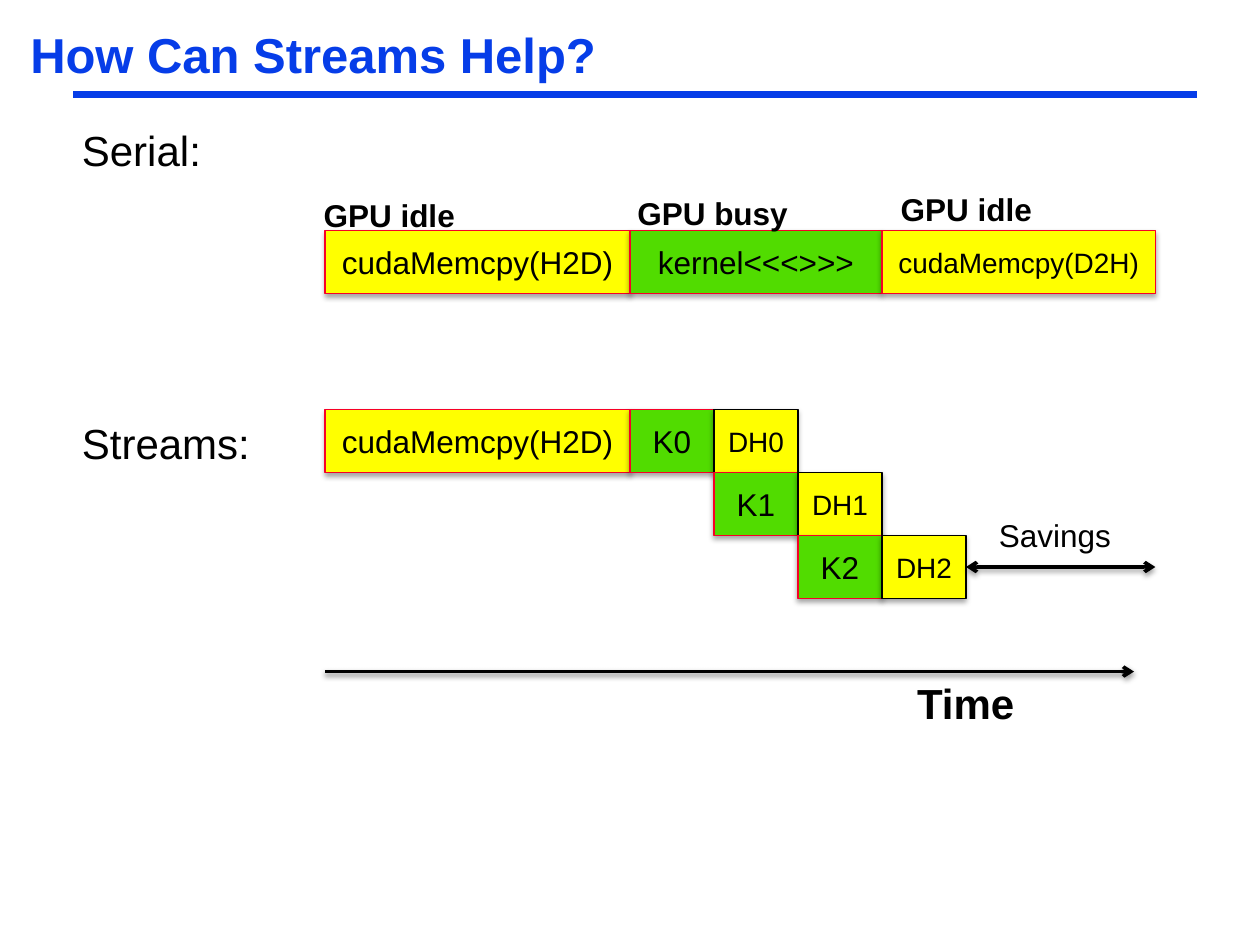
import pptx
import pptx.util
import pptx.dml.color
import pptx.enum.shapes
import pptx.enum.text
from lxml import etree

Inches, Pt = pptx.util.Inches, pptx.util.Pt
ALIGN, ANCHOR = pptx.enum.text.PP_ALIGN, pptx.enum.text.MSO_ANCHOR
STRAIGHT = pptx.enum.shapes.MSO_CONNECTOR.STRAIGHT
A = "{http://schemas.openxmlformats.org/drawingml/2006/main}"

BLUE, RED, BLACK = "063DE8", "F70026", "000000"
YELLOW, GREEN = "FFFF00", "51DC00"

TITLE = "How Can Streams Help?"
ROW_LABELS = [("Serial:", 0), ("Streams:", 141.5)]  # text, space before in points
LEFT, KERNEL_X, END_X = 2.58, 5, 9.17
KERNEL_W, BAR_H = 2, 0.5
SERIAL_Y, STREAMS_Y, TIME_Y = 1.83, 3.25, 5.33
STREAM_COUNT = 3
# text, left, top, width, height, size, bold
LABELS = [
    ("Time", 7.18, 5.33, 0.98, 0.5, 24, True),
    ("Savings", 7.83, 4.05, 1.1, 0.4, 18, False),
    ("GPU idle", 2.47, 1.51, 1.32, 0.4, 18, True),
    ("GPU idle", 7.05, 1.46, 1.32, 0.4, 18, True),
    ("GPU busy", 4.96, 1.49, 1.41, 0.4, 18, True),
]


def rgb(color):
    return pptx.dml.color.RGBColor.from_string(color)


def set_font(p, size, color=BLACK, bold=False):
    f = p.font
    f.name, f.size, f.bold = "Arial", Pt(size), bold
    f.color.rgb = rgb(color)


def set_insets(tf):
    tf.margin_left = tf.margin_right = Inches(0.07)
    tf.margin_top = tf.margin_bottom = Inches(0.03)


def add_shadow(effects, alpha, distance):
    """Add a soft black shadow falling straight down; distance is in points."""
    shadow = etree.SubElement(effects, A + "outerShdw", blurRad=str(Pt(3.1)),
                              dist=str(Pt(distance)), dir="5400000", rotWithShape="0")
    color = etree.SubElement(shadow, A + "srgbClr", val=BLACK)
    etree.SubElement(color, A + "alpha", val=str(alpha * 1000))


def add_bar(s, text, x, y, w, fill, size=18, line=RED):
    bar = s.shapes.add_shape(pptx.enum.shapes.MSO_SHAPE.RECTANGLE,
                             Inches(x), Inches(y), Inches(w), Inches(BAR_H))
    bar.fill.solid()
    bar.fill.fore_color.rgb = rgb(fill)
    bar.line.color.rgb = rgb(line)
    bar.line.width = Pt(0.75)
    bar.shadow.inherit = False
    add_shadow(bar._element.spPr.find(A + "effectLst"), 35, 1.8)
    tf = bar.text_frame
    tf.vertical_anchor = ANCHOR.MIDDLE
    p = tf.paragraphs[0]
    p.text, p.alignment = text, ALIGN.CENTER
    set_font(p, size)
    return bar


def add_line(s, x1, x2, y, color=BLACK, width=2, arrows=()):
    """Add a horizontal line; arrows lists headEnd and/or tailEnd, in that order."""
    line = s.shapes.add_connector(STRAIGHT, Inches(x1), Inches(y), Inches(x2), Inches(y))
    line.line.color.rgb = rgb(color)
    line.line.width = Pt(width)
    for end in arrows:
        etree.SubElement(line.line._get_or_add_ln(), A + end, type="arrow")
    effects = etree.SubElement(line._element.spPr, A + "effectLst")
    if arrows:
        add_shadow(effects, 38, 1.6)
    return line


def add_box(s, x, y, w, h):
    return s.shapes.add_textbox(Inches(x), Inches(y), Inches(w), Inches(h)).text_frame


def main():
    prs = pptx.Presentation()
    prs.slide_width, prs.slide_height = Inches(10), Inches(7.5)
    s = prs.slides.add_slide(prs.slide_layouts[5])

    add_line(s, 0.58, 9.5, 0.75, BLUE, 4.5)
    title = s.shapes.title
    title.left, title.top = Inches(0.17), Inches(0.23)
    title.width, title.height = Inches(9), Inches(1.25)
    tf = title.text_frame
    tf.vertical_anchor = ANCHOR.TOP
    set_insets(tf)
    p = tf.paragraphs[0]
    p.text, p.alignment, p.line_spacing = TITLE, ALIGN.LEFT, 0.87
    set_font(p, 28, BLUE, True)

    tf = add_box(s, 0.58, 1, 8.92, 2.92)
    tf.word_wrap = True
    set_insets(tf)
    for i, (text, before) in enumerate(ROW_LABELS):
        p = tf.add_paragraph() if i else tf.paragraphs[0]
        p.text, p.line_spacing, p.space_before = text, 0.9, Pt(before)
        set_font(p, 24)

    copy_w = KERNEL_X - LEFT
    back_x = KERNEL_X + KERNEL_W
    add_bar(s, "cudaMemcpy(H2D)", LEFT, SERIAL_Y, copy_w, YELLOW)
    add_bar(s, "kernel<<<>>>", KERNEL_X, SERIAL_Y, KERNEL_W, GREEN)
    add_bar(s, "cudaMemcpy(D2H)", back_x, SERIAL_Y, END_X - back_x, YELLOW, 16)

    add_bar(s, "cudaMemcpy(H2D)", LEFT, STREAMS_Y, copy_w, YELLOW)
    step = KERNEL_W / STREAM_COUNT
    for i in range(STREAM_COUNT):
        x, y = KERNEL_X + i * step, STREAMS_Y + i * BAR_H
        add_bar(s, f"K{i}", x, y, step, GREEN)
        last = add_bar(s, f"DH{i}", x + step, y, step, YELLOW, 16, BLACK)

    add_line(s, LEFT, 9, TIME_Y, arrows=["tailEnd"])
    savings = add_line(s, back_x + step, END_X, y + BAR_H / 2,
                       arrows=["headEnd", "tailEnd"])
    savings.begin_connect(last, 3)

    for text, x, y, w, h, size, bold in LABELS:
        tf = add_box(s, x, y, w, h)
        tf.word_wrap = False
        p = tf.paragraphs[0]
        p.text = text
        set_font(p, size, bold=bold)

    prs.save("out.pptx")


if __name__ == "__main__":
    main()
